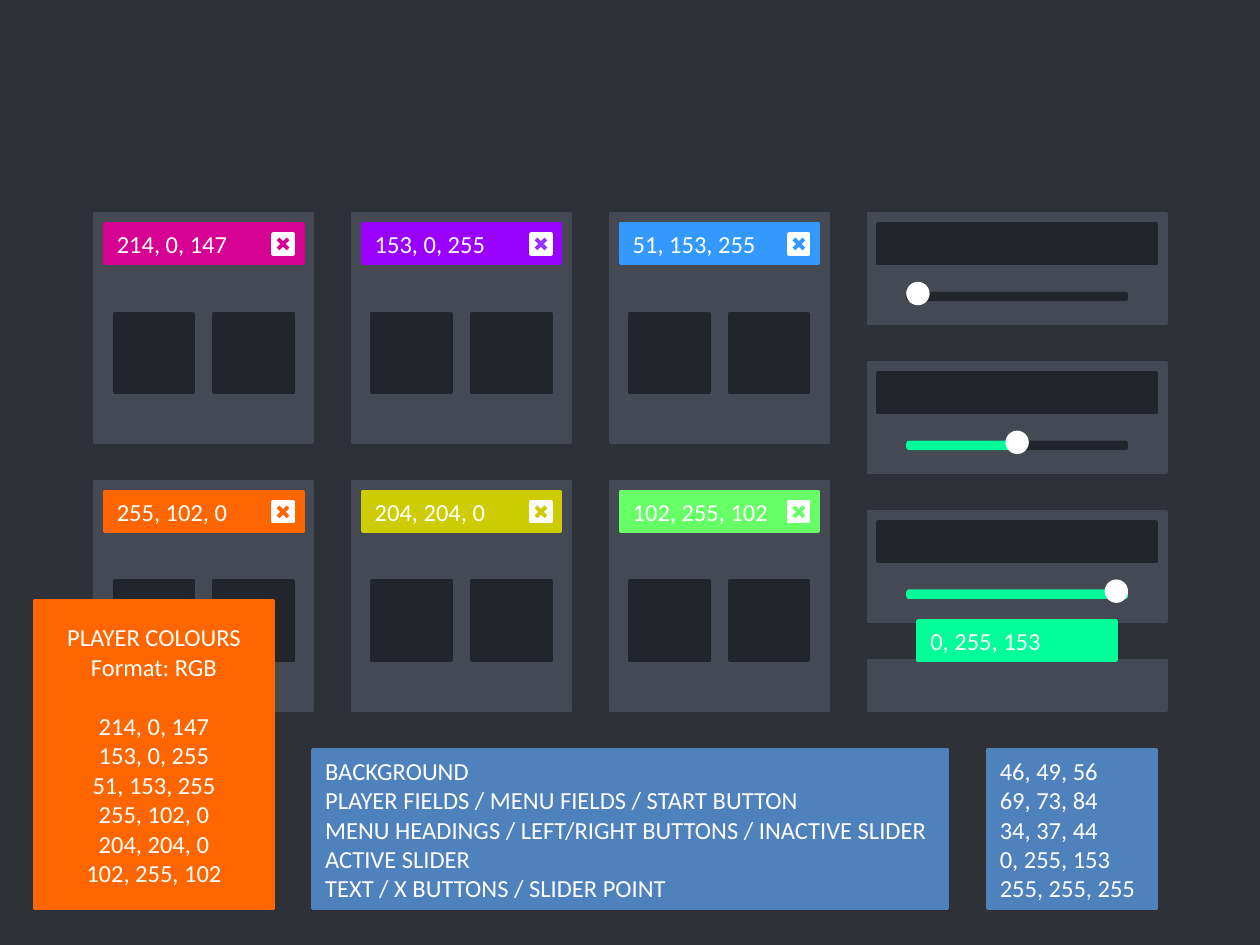
from dataclasses import dataclass

from lxml.etree import SubElement
from pptx import Presentation
from pptx.dml.color import RGBColor
from pptx.enum.shapes import MSO_CONNECTOR, MSO_SHAPE
from pptx.enum.text import MSO_ANCHOR, PP_ALIGN
from pptx.oxml.ns import qn
from pptx.util import Inches, Pt


@dataclass(frozen=True)
class Theme:
    """Colours, type and line widths of the slide."""
    background: str = "2E3138"
    field: str = "454954"
    dark: str = "22252C"
    active: str = "00FF99"
    light: str = "FFFFFF"
    orange: str = "FF6600"
    key: str = "4F81BD"
    font: str = "Calibri"
    size: float = 14
    outline: float = 2
    cross: float = 2.25


THEME = Theme()
UNIT = 2 / 25.4
LEFT, TOP = 0.75, 1.7
PLAYER_STEP, ROW_STEP, MENU_STEP = 26, 27, 15
MENU_COLUMN = 3 * PLAYER_STEP

PLAYERS = [
    ("214, 0, 147", "D60093", "D60093"),
    ("153, 0, 255", "9900FF", "9933FF"),
    ("51, 153, 255", "3399FF", "3399FF"),
    ("255, 102, 0", "FF6600", "FF6600"),
    ("204, 204, 0", "CCCC00", "CCCC00"),
    ("102, 255, 102", "66FF66", "66FF66"),
]
ROLES = [
    ("BACKGROUND", "46, 49, 56"),
    ("PLAYER FIELDS / MENU FIELDS / START BUTTON", "69, 73, 84"),
    ("MENU HEADINGS / LEFT/RIGHT BUTTONS / INACTIVE SLIDER", "34, 37, 44"),
    ("ACTIVE SLIDER", "0, 255, 153"),
    ("TEXT / X BUTTONS / SLIDER POINT", "255, 255, 255"),
]


def across(column):
    """Return the horizontal position of a grid column."""
    return Inches(LEFT + column * UNIT)


def down(row):
    """Return the vertical position of a grid row."""
    return Inches(TOP + row * UNIT)


def add_box(parent, column, row, width, height, colour, kind=MSO_SHAPE.RECTANGLE):
    """Add a shape filled and outlined in one colour."""
    box = parent.shapes.add_shape(kind, across(column), down(row),
                                  Inches(width * UNIT), Inches(height * UNIT))
    box.shadow.inherit = False
    box.fill.solid()
    box.fill.fore_color.rgb = RGBColor.from_string(colour)
    box.line.color.rgb = RGBColor.from_string(colour)
    box.line.width = Pt(THEME.outline)
    return box


def write(box, lines, align=PP_ALIGN.LEFT, gap_before=None):
    """Write lines as paragraphs, with a line's space before one of them."""
    frame = box.text_frame
    frame.word_wrap = True
    frame.vertical_anchor = MSO_ANCHOR.MIDDLE
    for index, line in enumerate(lines):
        para = frame.add_paragraph() if index else frame.paragraphs[0]
        para.alignment = align
        if index == gap_before:
            para.space_before = Pt(THEME.size * 1.22)
        span = para.add_run()
        span.text = line
        span.font.name = THEME.font
        span.font.size = Pt(THEME.size)
        span.font.color.rgb = RGBColor.from_string(THEME.light)


def add_stroke(parent, column, start, end, colour):
    """Add one diagonal stroke of a cross, one unit wide."""
    stroke = parent.shapes.add_connector(MSO_CONNECTOR.STRAIGHT, across(column + 1),
                                         down(start), across(column), down(end))
    stroke.line.color.rgb = RGBColor.from_string(colour)
    stroke.line.width = Pt(THEME.cross)
    SubElement(stroke._element.spPr, qn("a:effectLst"))


def add_close_button(page, column, row, colour):
    """Add a grouped white button with a coloured cross."""
    button = page.shapes.add_group_shape()
    add_box(button, column, row, 2, 2, THEME.light)
    upper, lower = row + 0.5, row + 1.5
    add_stroke(button, column + 0.5, lower, upper, colour)
    add_stroke(button, column + 0.5, upper, lower, colour)


def add_player(page, column, row, label, colour, cross):
    """Add a player field with heading, close button and two tiles."""
    add_box(page, column, row, 22, 23, THEME.field)
    write(add_box(page, column + 1, row + 1, 20, 4, colour), [label])
    for offset in (2, 12):
        add_box(page, column + offset, row + 10, 8, 8, THEME.dark)
    add_close_button(page, column + 18, row + 2, cross)


def add_slider(page, column, row, share):
    """Add a slider whose active part covers a share of its track."""
    length, thickness = 22, 0.6
    for part, colour in ((1, THEME.dark), (share, THEME.active)):
        if part and not (share == 1 and colour == THEME.dark):
            add_box(page, column, row + 1, length * part, thickness, colour,
                    MSO_SHAPE.ROUNDED_RECTANGLE)
    add_box(page, column + (length - 2) * share, row, 2, 2, THEME.light, MSO_SHAPE.OVAL)


def add_menu(page, row, share):
    """Add a menu field with heading bar and slider."""
    add_box(page, MENU_COLUMN, row, 30, 11, THEME.field)
    add_box(page, MENU_COLUMN + 1, row + 1, 28, 4, THEME.dark)
    add_slider(page, MENU_COLUMN + 4, row + 7, share)


def add_legend(page):
    """Add the player palette and the colour key."""
    palette = add_box(page, -6, 39, 24, 31, THEME.orange)
    labels = [label for label, _, _ in PLAYERS]
    write(palette, ["PLAYER COLOURS", "Format: RGB", *labels],
          align=PP_ALIGN.CENTER, gap_before=2)
    names, values = zip(*ROLES)
    write(add_box(page, 90, 54, 17, 16, THEME.key), values)
    write(add_box(page, 22, 54, 64, 16, THEME.key), names)


def main():
    """Build the colour guide and save it."""
    deck = Presentation()
    deck.slide_width, deck.slide_height = Inches(10), Inches(7.5)
    page = deck.slides.add_slide(deck.slide_layouts[6])
    page.background.fill.solid()
    page.background.fill.fore_color.rgb = RGBColor.from_string(THEME.background)
    for index, player in enumerate(PLAYERS):
        row, column = divmod(index, 3)
        add_player(page, column * PLAYER_STEP, row * ROW_STEP, *player)
    for index, share in enumerate((0, 0.5, 1)):
        add_menu(page, index * MENU_STEP, share)
    add_box(page, MENU_COLUMN, 3 * MENU_STEP, 30, 5, THEME.field)
    add_legend(page)
    write(add_box(page, MENU_COLUMN + 5, 41, 20, 4, THEME.active), ["0, 255, 153"])
    deck.save("out.pptx")


main()
